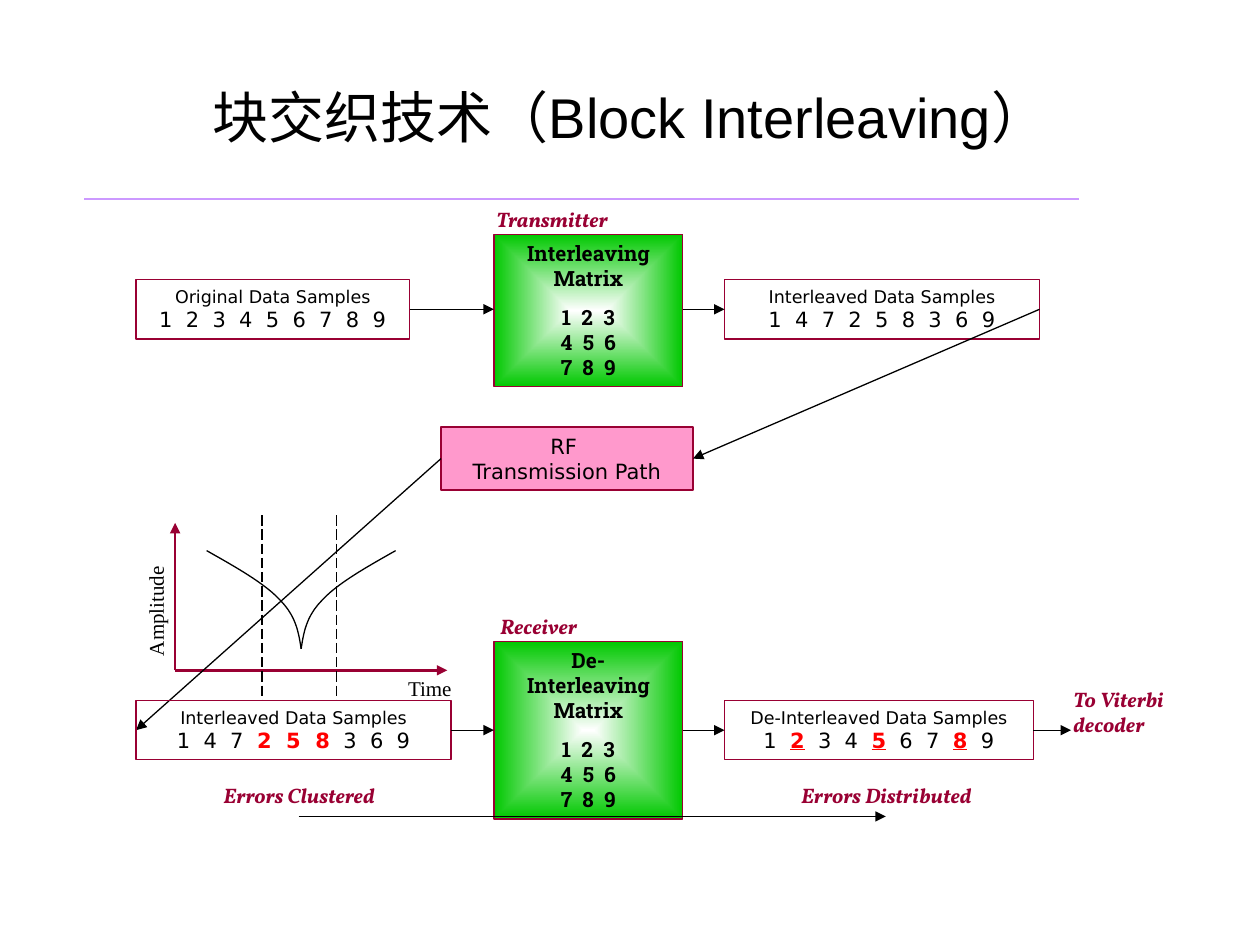
from copy import deepcopy
from dataclasses import dataclass

from lxml.etree import SubElement
from pptx import Presentation
from pptx.dml.color import RGBColor
from pptx.enum.dml import MSO_LINE
from pptx.enum.shapes import MSO_CONNECTOR, MSO_SHAPE
from pptx.enum.text import MSO_ANCHOR, PP_ALIGN
from pptx.oxml import parse_xml
from pptx.oxml.ns import nsdecls, qn
from pptx.util import Inches, Pt

BLACK = RGBColor(0x00, 0x00, 0x00)
MAROON = RGBColor(0x99, 0x00, 0x33)
RED = RGBColor(0xFF, 0x00, 0x00)
PINK = RGBColor(0xFF, 0x99, 0xCC)
LAVENDER = RGBColor(0xCC, 0x99, 0xFF)
GREEN = RGBColor(0x00, 0xC8, 0x00)
WHITE = RGBColor(0xFF, 0xFF, 0xFF)

MATRIX_ROWS = "1  2  3\n4  5  6\n7  8  9"
ERROR = {"color": RED, "bold": True}
SPREAD_ERROR = {**ERROR, "underline": True}
CAPTION = {"font": "Vollkorn", "color": MAROON, "bold": True, "italic": True}


@dataclass
class Box:
    left: float
    top: float
    width: float
    height: float

    @property
    def right(self):
        return self.left + self.width

    @property
    def middle(self):
        return self.top + self.height / 2

    def lengths(self):
        return [Inches(value) for value in (self.left, self.top, self.width, self.height)]


def add_text(paragraph, text, size=12, font="DejaVu Sans", color=BLACK,
             bold=False, italic=False, underline=False):
    for index, line in enumerate(text.split("\n")):
        if index:
            paragraph.add_line_break()
            paragraph._p[-1].append(deepcopy(run._r.rPr))
        run = paragraph.add_run()
        run.text = line
        run.font.size = Pt(size)
        run.font.name = font
        run.font.color.rgb = color
        run.font.bold = bold
        run.font.italic = italic
        run.font.underline = underline


def add_label(slide, box, text, align=PP_ALIGN.LEFT, anchor=MSO_ANCHOR.MIDDLE, **text_format):
    label = slide.shapes.add_textbox(*box.lengths())
    label.text_frame.word_wrap = True
    label.text_frame.vertical_anchor = anchor
    paragraph = label.text_frame.paragraphs[0]
    paragraph.alignment = align
    add_text(paragraph, text, **text_format)
    return label


def add_block(slide, box, line_width=0.75):
    block = slide.shapes.add_shape(MSO_SHAPE.RECTANGLE, *box.lengths())
    block.shadow.inherit = False
    block.fill.background()
    block.line.color.rgb = MAROON
    block.line.width = Pt(line_width)
    block.text_frame.word_wrap = True
    block.text_frame.vertical_anchor = MSO_ANCHOR.TOP
    block.text_frame.paragraphs[0].alignment = PP_ALIGN.CENTER
    return block


def add_line(slide, start, end, color=BLACK, width=0.75, arrow=True, dash=None):
    points = [Inches(value) for value in (*start, *end)]
    line = slide.shapes.add_connector(MSO_CONNECTOR.STRAIGHT, *points)
    line.line.color.rgb = color
    line.line.width = Pt(width)
    if dash:
        line.line.dash_style = dash
    if arrow:
        SubElement(line.line._get_or_add_ln(), qn("a:tailEnd"), type="triangle")
    SubElement(line._element.spPr, qn("a:effectLst"))


def add_samples(slide, box, heading, numbers):
    paragraph = add_block(slide, box).text_frame.paragraphs[0]
    add_text(paragraph, heading + "\n", size=10)
    for text, text_format in numbers:
        add_text(paragraph, text, **text_format)


def add_matrix(slide, box, heading):
    block = add_block(slide, box)
    gradient = parse_xml(
        f'<a:gradFill {nsdecls("a")} rotWithShape="1"><a:gsLst>'
        f'<a:gs pos="0"><a:srgbClr val="{WHITE}"/></a:gs>'
        f'<a:gs pos="100000"><a:srgbClr val="{GREEN}"/></a:gs></a:gsLst>'
        '<a:path path="rect"><a:fillToRect l="50000" t="50000" r="50000" b="50000"/>'
        '</a:path></a:gradFill>')
    properties = block._element.spPr
    properties.replace(properties.find(qn("a:noFill")), gradient)
    frame = block.text_frame
    add_text(frame.paragraphs[0], heading, font="Roboto Slab", bold=True)
    rows = frame.add_paragraph()
    rows.alignment = PP_ALIGN.CENTER
    rows.space_before = Pt(7.5)
    add_text(rows, MATRIX_ROWS, font="Roboto Slab", bold=True)


def add_stage(slide, box, name, name_left, heading, source, result):
    axis = source[0].middle
    add_samples(slide, *source)
    add_matrix(slide, box, heading)
    add_samples(slide, *result)
    add_line(slide, (source[0].right, axis), (box.left, axis))
    add_line(slide, (box.right, axis), (result[0].left, axis))
    add_label(slide, Box(name_left, box.top - 0.27, 1.25, 0.3), name, **CAPTION)


def add_curve(slide, segments):
    points = []
    for p0, p1, p2, p3 in segments:
        for step in range(21):
            t = step / 20
            points.append(tuple(
                Inches((1 - t) ** 3 * a + 3 * (1 - t) ** 2 * t * b
                       + 3 * (1 - t) * t ** 2 * c + t ** 3 * d)
                for a, b, c, d in zip(p0, p1, p2, p3)))
    builder = slide.shapes.build_freeform(*points[0])
    builder.add_line_segments(points[1:], close=False)
    curve = builder.convert_to_shape()
    curve.shadow.inherit = False
    curve.fill.background()
    curve.line.color.rgb = BLACK
    curve.line.width = Pt(0.75)


def add_fading_chart(slide, box):
    bottom = box.top + box.height
    dip = box.left + 1
    for side in (-1, 1):
        offsets = [(0.75, 0.22), (0.52, 0.35), (0.29, 0.48), (0.17, 0.61),
                   (0.04, 0.74), (0.02, 0.87), (0, 1)]
        points = [(dip + side * x, box.top + y) for x, y in offsets]
        add_curve(slide, [points[:4], points[3:]])
    origin = (box.left, bottom)
    add_line(slide, origin, (box.left, box.top), color=MAROON, width=1.5)
    add_line(slide, origin, (box.right, bottom), color=MAROON, width=1.5)
    axis_format = {"font": "Times New Roman", "anchor": MSO_ANCHOR.TOP}
    add_label(slide, Box(box.right - 0.41, bottom - 0.01, 0.63, 0.3), "Time", **axis_format)
    amplitude = add_label(slide, Box(box.left - 0.74, box.top + 0.42, 1.17, 0.3),
                          "Amplitude", **axis_format)
    amplitude.rotation = 270
    for x in (box.left + 0.69, box.left + 1.28):
        add_line(slide, (x, box.top - 0.06), (x, bottom + 0.24),
                 arrow=False, dash=MSO_LINE.LONG_DASH)


def add_radio_path(slide, box, sender, receiver):
    block = add_block(slide, box, line_width=1.5)
    block.fill.solid()
    block.fill.fore_color.rgb = PINK
    add_text(block.text_frame.paragraphs[0], "RF \nTransmission Path")
    add_line(slide, (sender.right, sender.middle), (box.right, box.middle))
    add_line(slide, (box.left, box.middle), (receiver.left, receiver.middle))


def add_title(slide, box):
    title = slide.shapes.title
    title.left, title.top, title.width, title.height = box.lengths()
    title.text_frame.vertical_anchor = MSO_ANCHOR.MIDDLE
    paragraph = title.text_frame.paragraphs[0]
    paragraph.alignment = PP_ALIGN.CENTER
    add_text(paragraph, "块交织技术（Block Interleaving）", size=32, font="Arial")
    add_line(slide, (0.67, 1.58), (8.56, 1.58), color=LAVENDER, width=1, arrow=False)


def main():
    presentation = Presentation()
    presentation.slide_width, presentation.slide_height = Inches(10), Inches(7.5)
    slide = presentation.slides.add_slide(presentation.slide_layouts[5])
    original = Box(1.08, 2.22, 2.17, 0.47)
    sent = Box(5.75, 2.22, 2.5, 0.47)
    received = Box(1.08, 5.56, 2.5, 0.47)
    restored = Box(5.75, 5.56, 2.45, 0.47)

    add_title(slide, Box(0.5, 0.3, 9, 1.25))
    add_fading_chart(slide, Box(1.39, 4.15, 2.16, 1.17))
    add_stage(slide, Box(3.92, 1.86, 1.5, 1.21), "Transmitter", 3.84, "Interleaving Matrix",
              (original, "Original Data Samples", [("1  2  3  4  5  6  7  8  9", {})]),
              (sent, "Interleaved Data Samples", [("1  4  7  2  5  8  3  6  9", {})]))
    add_radio_path(slide, Box(3.5, 3.39, 2, 0.5), sent, received)
    add_stage(slide, Box(3.92, 5.09, 1.5, 1.41), "Receiver", 3.87, "De-\nInterleaving Matrix",
              (received, "Interleaved Data Samples",
               [("1  4  7  ", {}), ("2  5  8", ERROR), ("  3  6  9", {})]),
              (restored, "De-Interleaved Data Samples",
               [("1  ", {}), ("2", SPREAD_ERROR), ("  3  4  ", {}), ("5", SPREAD_ERROR),
                ("  6  7  ", {}), ("8", SPREAD_ERROR), ("  9", {})]))
    add_line(slide, (restored.right, restored.middle), (8.5, restored.middle))
    add_label(slide, Box(8.42, 5.4, 1.08, 0.5), "To Viterbi \ndecoder", **CAPTION)
    for left, width, text in ((1.56, 1.63, "Errors Clustered"), (6.14, 1.79, "Errors Distributed")):
        add_label(slide, Box(left, 6.16, width, 0.3), text, align=PP_ALIGN.CENTER, **CAPTION)
    add_line(slide, (2.37, 6.48), (7.03, 6.48))
    presentation.save("out.pptx")


if __name__ == "__main__":
    main()
